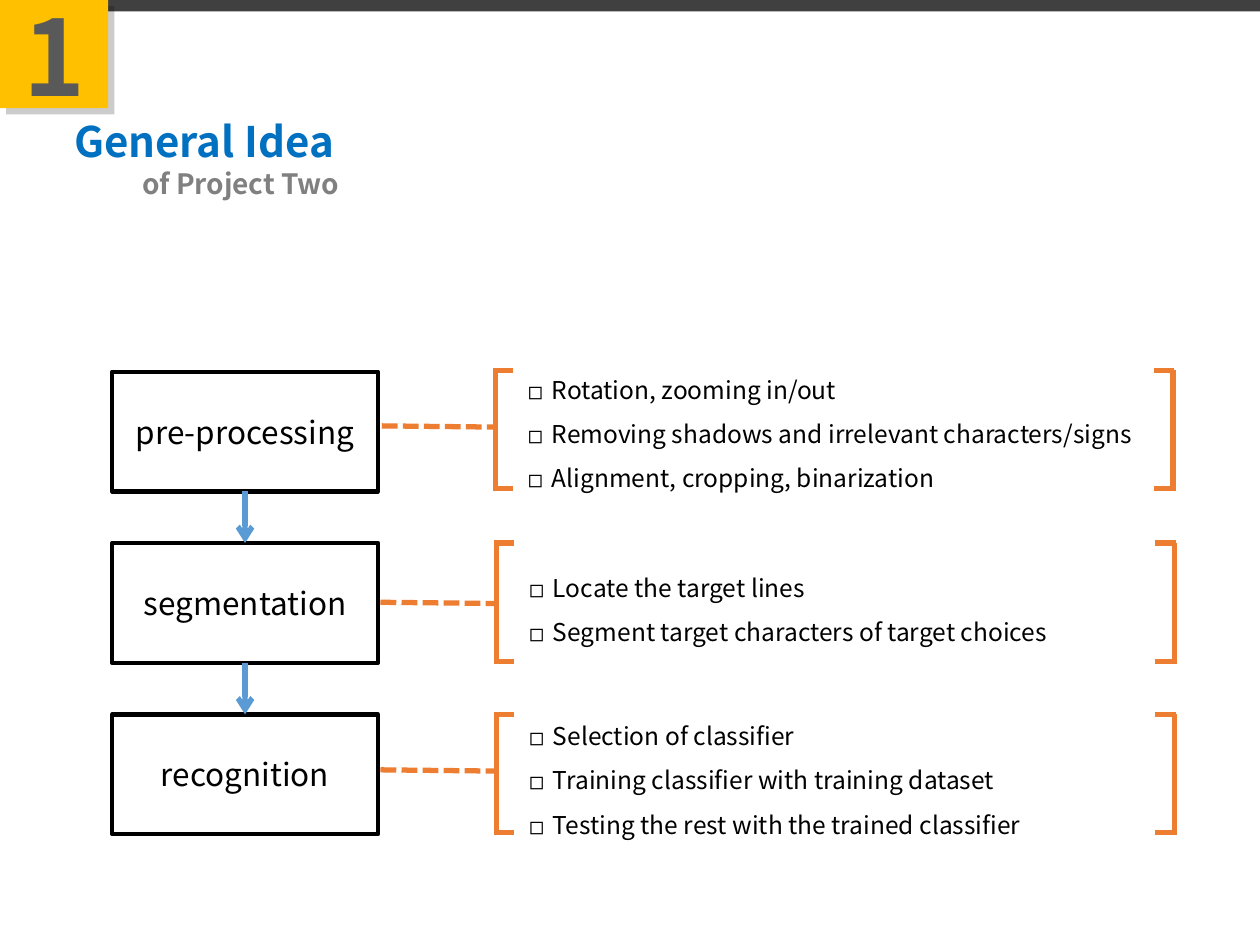
from lxml import etree
from pptx import Presentation
from pptx.dml.color import RGBColor
from pptx.enum import dml, shapes, text
from pptx.oxml import parse_xml
from pptx.oxml.ns import nsdecls, qn
from pptx.util import Inches, Pt

BLACK = RGBColor(0x00, 0x00, 0x00)
DARK = RGBColor(0x40, 0x40, 0x40)
NUMBER = RGBColor(0x59, 0x59, 0x59)
GREY = RGBColor(0x80, 0x80, 0x80)
YELLOW = RGBColor(0xFF, 0xC0, 0x00)
TITLE_BLUE = RGBColor(0x00, 0x70, 0xC0)
ARROW_BLUE = RGBColor(0x5B, 0x9B, 0xD5)
ORANGE = RGBColor(0xED, 0x7D, 0x31)
SC, TC = "Noto Sans CJK SC", "Noto Sans CJK TC"

BOX_X, BOX_W, ROW_H, PITCH = 0.89, 2.11, 0.95, 1.36
FIRST_ROW = 2.95
# Step name, dashed line (x, y), bracket (x, y), notes box (x, y, h), notes
STEPS = [
    ("pre-processing", (3.03, 3.38), (3.93, 2.94), (4.09, 2.81, 1.16),
     ["Rotation, zooming in/out",
      "Removing shadows and irrelevant characters/signs",
      "Alignment, cropping, binarization"]),
    ("segmentation", (3.02, 4.78), (3.94, 4.31), (4.1, 4.38, 0.81),
     ["Locate the target lines",
      "Segment target characters of target choices"]),
    ("recognition", (3.02, 6.11), (3.94, 5.67), (4.1, 5.56, 1.16),
     ["Selection of classifier",
      "Training classifier with training dataset",
      "Testing the rest with the trained classifier"]),
]


def write(tf, content, size, color=BLACK, font=SC, bold=False, align=None,
          indent=0, bullet=None, spacing=None):
    """Put one paragraph in the frame, after any already there."""
    p = tf.paragraphs[0] if not tf.paragraphs[0].runs else tf.add_paragraph()
    if align is not None:
        p.alignment = align
    if spacing:
        p.line_spacing = spacing
    if indent:
        p_pr = p._p.get_or_add_pPr()
        p_pr.set("marL", str(Inches(indent)))
        if bullet:
            p_pr.set("indent", str(-Inches(indent)))
            etree.SubElement(p_pr, qn("a:buFont")).set("typeface", font)
            etree.SubElement(p_pr, qn("a:buChar")).set("char", bullet)
    r = p.add_run()
    r.text = content
    f = r.font
    f.name, f.size, f.bold = font, Pt(size), bold
    f.color.rgb = color


def add_rect(s, x, y, w, h, fill=None, line=None):
    sp = s.shapes.add_shape(shapes.MSO_SHAPE.RECTANGLE,
                            Inches(x), Inches(y), Inches(w), Inches(h))
    sp.shadow.inherit = False
    if fill is None:
        sp.fill.background()
    else:
        sp.fill.solid()
        sp.fill.fore_color.rgb = fill
    if line is None:
        sp.line.fill.background()
    else:
        sp.line.color.rgb, sp.line.width = line, Pt(2.5)
    sp.text_frame.vertical_anchor = text.MSO_ANCHOR.MIDDLE
    return sp


def add_text_box(s, x, y, w, h):
    tf = s.shapes.add_textbox(Inches(x), Inches(y), Inches(w), Inches(h)).text_frame
    tf.word_wrap = True
    return tf


def add_line(s, x1, y1, x2, y2, color=ORANGE):
    ln = s.shapes.add_connector(shapes.MSO_CONNECTOR.STRAIGHT, Inches(x1),
                                Inches(y1), Inches(x2), Inches(y2))
    ln.line.color.rgb, ln.line.width = color, Pt(3)
    etree.SubElement(ln._element.spPr, qn("a:effectLst"))
    return ln


def add_header(s, x, y, w):
    # Top bar and numbered badge
    add_rect(s, x, y, w, 0.09, DARK)
    badge = add_rect(s, x, y, 0.86, 0.86, YELLOW)
    badge._element.spPr.find(qn("a:effectLst")).append(parse_xml(
        f'<a:outerShdw {nsdecls("a")} dist="{Pt(5)}" dir="2700000" algn="tl" '
        'rotWithShape="0"><a:srgbClr val="000000"><a:alpha val="20000"/>'
        '</a:srgbClr></a:outerShdw>'))
    write(badge.text_frame, "1", 60, NUMBER, bold=True, align=text.PP_ALIGN.CENTER)
    # Title and subtitle
    tf = add_text_box(s, x + 0.49, y + 0.87, 2.54, 0.77)
    write(tf, "General Idea", 24, TITLE_BLUE, bold=True)
    write(tf, "of Project Two", 16, GREY, bold=True, indent=0.54)


def add_flow(s, x, y, w, h, names):
    """Column of step boxes joined by arrows."""
    above = None
    for i, name in enumerate(names):
        top = y + i * PITCH
        box = add_rect(s, x, top, w, h, line=BLACK)
        write(box.text_frame, name, 18, font=TC, align=text.PP_ALIGN.CENTER)
        if above is not None:
            mid = x + w / 2
            arrow = add_line(s, mid, top - PITCH + h, mid, top, ARROW_BLUE)
            arrow.begin_connect(above, 2)
            arrow.end_connect(box, 0)
            etree.SubElement(arrow.line._get_or_add_ln(),
                             qn("a:tailEnd")).set("type", "arrow")
        above = box


def add_bracket(s, x, y, h, lip):
    """Square bracket with its upright at x; lip gives the ends of its arms."""
    for arm_y in (y, y + h - 0.02):
        add_line(s, x + lip[0], arm_y, x + lip[1], arm_y)
    add_line(s, x, y, x, y + h)


def add_notes(s, dash, bracket, box, notes):
    """Dashed lead, pair of brackets and bulleted notes of one step."""
    (x, y), (left, top) = dash, bracket
    lead = add_line(s, x, y, x + 0.92, y + 0.01)
    lead.line.dash_style = dml.MSO_LINE.SQUARE_DOT
    add_bracket(s, left, top, 0.96, (-0.02, 0.14))
    add_bracket(s, left + 5.38, top, 0.96, (-0.15, 0.01))
    tf = add_text_box(s, box[0], box[1], 5.39, box[2])
    for note in notes:
        write(tf, note, 14, indent=0.19, bullet="◻", spacing=1.5)


def main():
    prs = Presentation()
    prs.slide_width, prs.slide_height = Inches(10), Inches(7.5)
    s = prs.slides.add_slide(prs.slide_layouts[6])
    add_header(s, 0, 0, 10)
    add_flow(s, BOX_X, FIRST_ROW, BOX_W, ROW_H, [step[0] for step in STEPS])
    for _, dash, bracket, box, notes in STEPS:
        add_notes(s, dash, bracket, box, notes)
    prs.save("out.pptx")


if __name__ == "__main__":
    main()
